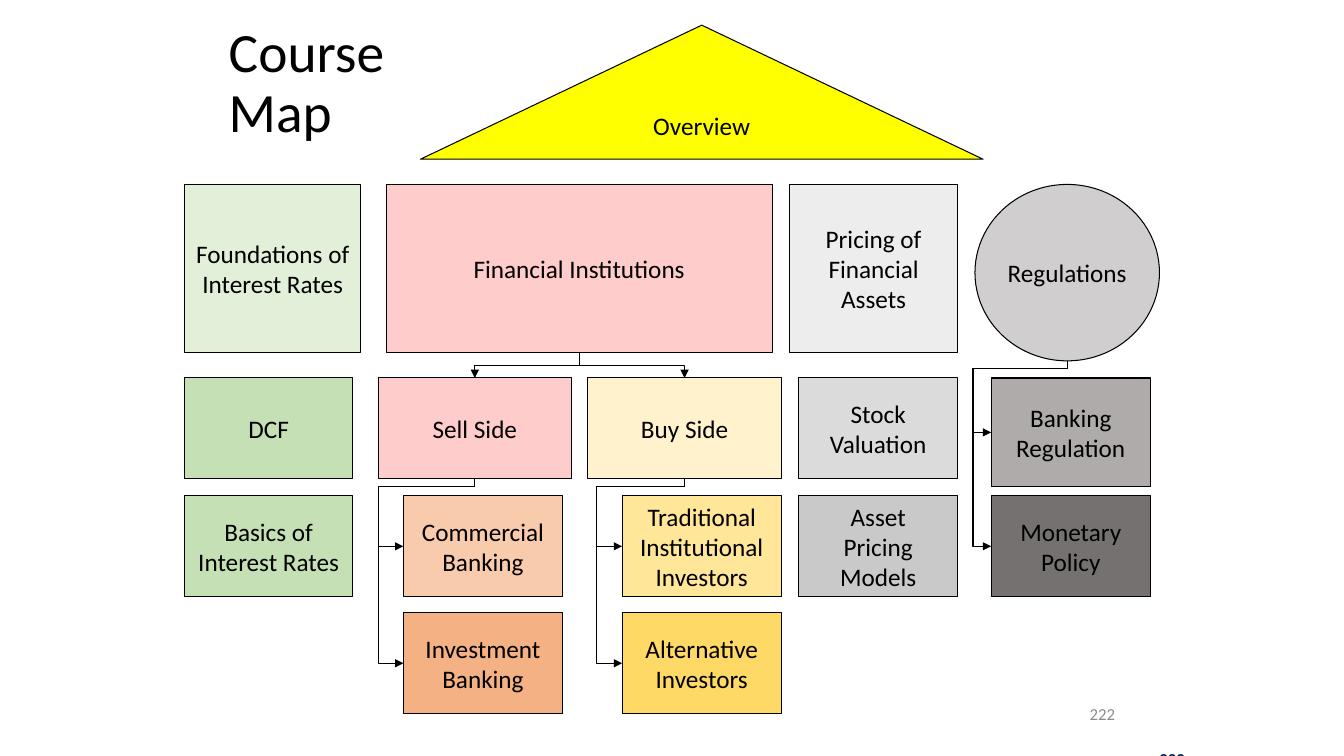
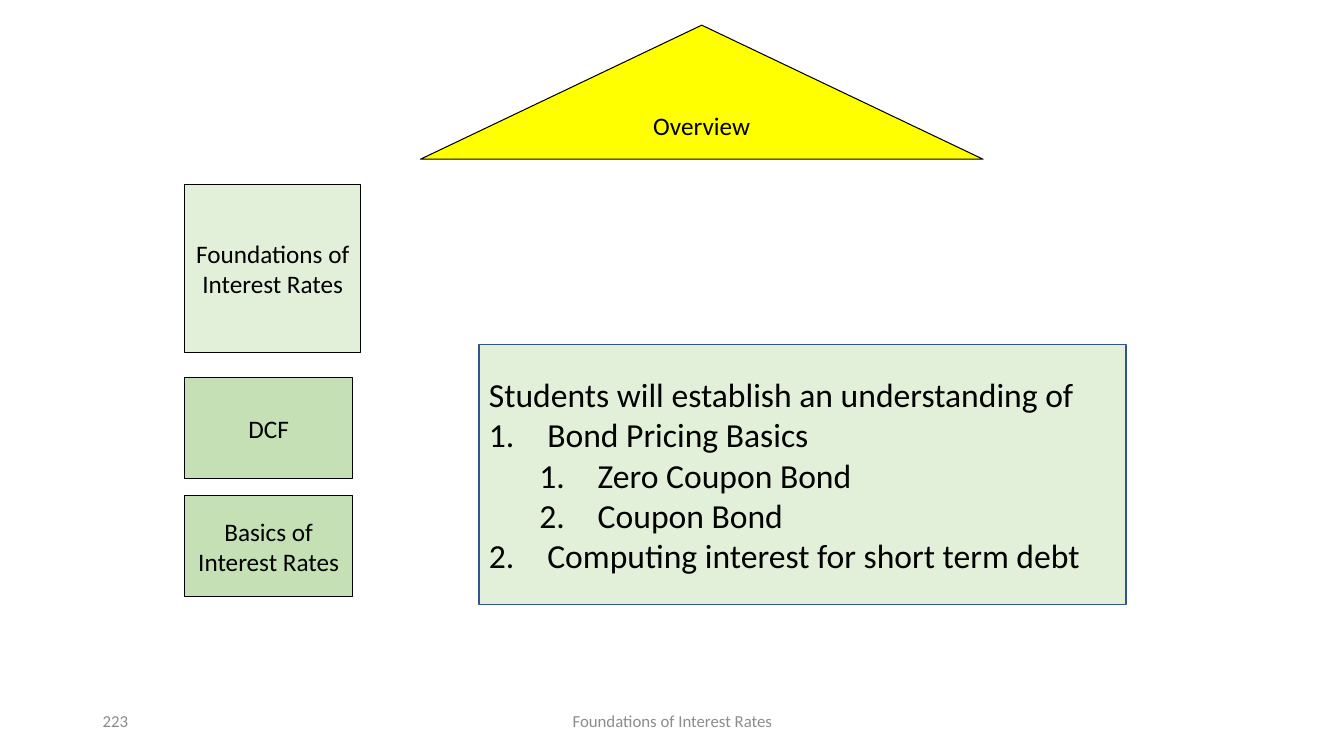
from dataclasses import dataclass
from pptx import Presentation
from pptx.dml.color import RGBColor
from pptx.enum.shapes import MSO_CONNECTOR, MSO_SHAPE
from pptx.enum.text import MSO_ANCHOR, PP_ALIGN
from pptx.oxml.ns import qn
from pptx.util import Pt
from lxml.etree import SubElement


@dataclass(frozen=True)
class Theme:
    font: str = "Calibri"
    title: float = 39.6
    list: int = 24
    label: int = 18
    foot: int = 12
    thin: float = 0.75
    ink: str = "000000"
    gray: str = "8C8C8C"
    navy: str = "002060"
    edge: str = "325491"
    roof: str = "FFFF00"
    green: tuple = ("E2F0D9", "C5E0B4")
    rose: str = "FFCCCC"
    peach: tuple = ("F8CBAD", "F4B183")
    gold: tuple = ("FFF2CC", "FFE699", "FFD966")
    pale: tuple = ("EDEDED", "DBDBDB", "C9C9C9")
    stone: tuple = ("D0CECE", "AFABAB", "767171")


T = Theme()
PX = 9144  # 100 px to the inch
RECT, OVAL, ROOF = MSO_SHAPE.RECTANGLE, MSO_SHAPE.OVAL, MSO_SHAPE.FLOWCHART_EXTRACT
LEFT, MID, RIGHT = PP_ALIGN.LEFT, PP_ALIGN.CENTER, PP_ALIGN.RIGHT


def write(shape, text, size, color=T.ink, align=MID, wrap=True, nums=()):
    """Fill a shape with text; nums gives a list level per line, None for plain."""
    frame = shape.text_frame
    frame.text = text
    frame.word_wrap = wrap
    frame.vertical_anchor = MSO_ANCHOR.MIDDLE
    for i, para in enumerate(frame.paragraphs):
        para.alignment = align
        if nums:
            level = nums[i] or 0
            para.level = level
            props = para._p.get_or_add_pPr()
            props.set("marL", str((58 + 50 * level) * PX))
            props.set("indent", str(-58 * PX))
            if nums[i] is not None:
                SubElement(props, qn("a:buAutoNum"), type="arabicPeriod")
        para.font.name = T.font
        para.font.size = Pt(size)
        para.font.color.rgb = RGBColor.from_string(color)
    return frame


def draw(slide, kind, at, fill, line=T.ink, width=T.thin):
    shape = slide.shapes.add_shape(kind, *[n * PX for n in at])
    shape.shadow.inherit = False
    shape.fill.solid()
    shape.fill.fore_color.rgb = RGBColor.from_string(fill)
    shape.line.color.rgb = RGBColor.from_string(line)
    shape.line.width = Pt(width)
    return shape


deck = Presentation()
deck.slide_width, deck.slide_height = 1333 * PX, 750 * PX
course, goals = [deck.slides.add_slide(deck.slide_layouts[6]) for _ in range(2)]

# Boxes: text, kind, left, top, width, height, fill
ROW = (183, 375, 492, 608)
shared = [
    ("Overview", ROOF, 417, 25, 558, 133, T.roof),
    ("Foundations of\nInterest Rates", RECT, 183, ROW[0], 175, 167, T.green[0]),
    ("DCF", RECT, 183, ROW[1], 167, 100, T.green[1]),
    ("Basics of\nInterest Rates", RECT, 183, ROW[2], 167, 100, T.green[1]),
]
extra = [
    ("Financial Institutions", RECT, 383, ROW[0], 383, 167, T.rose),
    ("Sell Side", RECT, 375, ROW[1], 192, 100, T.rose),
    ("Commercial Banking", RECT, 400, ROW[2], 158, 100, T.peach[0]),
    ("Investment Banking", RECT, 400, ROW[3], 158, 100, T.peach[1]),
    ("Buy Side", RECT, 583, ROW[1], 192, 100, T.gold[0]),
    ("Traditional Institutional Investors", RECT, 617, ROW[2], 158, 100, T.gold[1]),
    ("Alternative Investors", RECT, 617, ROW[3], 158, 100, T.gold[2]),
    ("Pricing of Financial Assets", RECT, 783, ROW[0], 167, 167, T.pale[0]),
    ("Stock\nValuation", RECT, 792, ROW[1], 158, 100, T.pale[1]),
    ("Asset\nPricing\nModels", RECT, 792, ROW[2], 158, 100, T.pale[2]),
    ("Regulations", OVAL, 967, ROW[0], 183, 175, T.stone[0]),
    ("Banking Regulation", RECT, 983, ROW[1], 158, 108, T.stone[1]),
    ("Monetary Policy", RECT, 983, ROW[2], 158, 100, T.stone[2]),
]
nodes = {}
for slide, boxes in ((goals, shared), (course, shared + extra)):
    for text, kind, *at, fill in boxes:
        nodes[text] = draw(slide, kind, at, fill)
        soft = " " in text and "\n" not in text
        write(nodes[text], text, T.label, wrap=soft)

# Elbow arrows: source, its bottom site, lane left of the targets, targets
links = [
    ("Financial Institutions", 2, None, ("Sell Side", "Buy Side")),
    ("Sell Side", 2, 375, ("Commercial Banking", "Investment Banking")),
    ("Buy Side", 2, 592, ("Traditional Institutional Investors", "Alternative Investors")),
    ("Regulations", 4, 965, ("Banking Regulation", "Monetary Policy")),
]
for name, site, lane, ends in links:
    start = nodes[name]
    x, y = start.left + start.width // 2, start.top + start.height
    for end in ends:
        goal = nodes[end]
        if lane:
            far, low = goal.left, goal.top + goal.height // 2
        else:
            far, low = goal.left + goal.width // 2, goal.top
        wide, tall = abs(far - x), low - y
        wire = course.shapes.add_connector(MSO_CONNECTOR.ELBOW, x, y, far, low)
        wire.begin_connect(start, 2)
        wire.end_connect(goal, 1 if lane else 0)
        # An oval counts its sites in eighths, so its bottom has another number
        wire._element.find(".//" + qn("a:stCxn")).set("idx", str(site))
        # Turn the elbow so that it leaves its source downwards
        wire.left, wire.top = (x + far - tall) // 2, (y + low - wide) // 2
        wire.width, wire.height = tall, wide
        props = wire._element.spPr
        frame = props.find(qn("a:xfrm"))
        frame.set("rot", str((270 if far > x else 90) * 60000))
        frame.set("flipH", "1" if far > x else "0")
        frame.set("flipV", "0")
        if lane:
            shape = props.find(qn("a:prstGeom"))
            shape.set("prst", "bentConnector4")
            bends = (8 * PX / tall, (x - lane * PX) / wide)
            for i, bend in enumerate(bends, 1):
                SubElement(shape.find(qn("a:avLst")), qn("a:gd"),
                           name=f"adj{i}", fmla=f"val {round(bend * 100000)}")
        wire.line.color.rgb = RGBColor.from_string(T.ink)
        wire.line.width = Pt(T.thin)
        SubElement(wire.line._get_or_add_ln(), qn("a:tailEnd"), type="triangle")
        SubElement(props, qn("a:effectLst"))

# Title, page numbers and footer
labels = [
    (course, "Course Map", (217, 13, 258, 142), T.title, T.ink, LEFT),
    (course, "222", (883, 683, 233, 50), T.foot, T.gray, RIGHT),
    (course, "222", (1084, 737, 101, 32), T.foot, T.navy, RIGHT),
    (goals, "223", (92, 695, 300, 40), T.foot, T.gray, LEFT),
    (goals, "Foundations of Interest Rates", (442, 695, 450, 40), T.foot, T.gray, MID),
]
for slide, text, at, size, color, align in labels:
    label = slide.shapes.add_textbox(*[n * PX for n in at])
    para = write(label, text, size, color, align).paragraphs[0]
    para.font.bold = color == T.navy
    if size == T.title:
        para.line_spacing = 0.9

# Learning goals
panel = draw(goals, RECT, (475, 342, 642, 258), T.green[0], T.edge, 1)
lines = [
    ("Students will establish an understanding of", None),
    ("Bond Pricing Basics", 0),
    ("Zero Coupon Bond", 1),
    ("Coupon Bond", 1),
    ("Computing interest for short term debt", 0),
]
write(panel, "\n".join(text for text, _ in lines), T.list, align=LEFT,
      nums=[num for _, num in lines])

deck.save("out.pptx")
